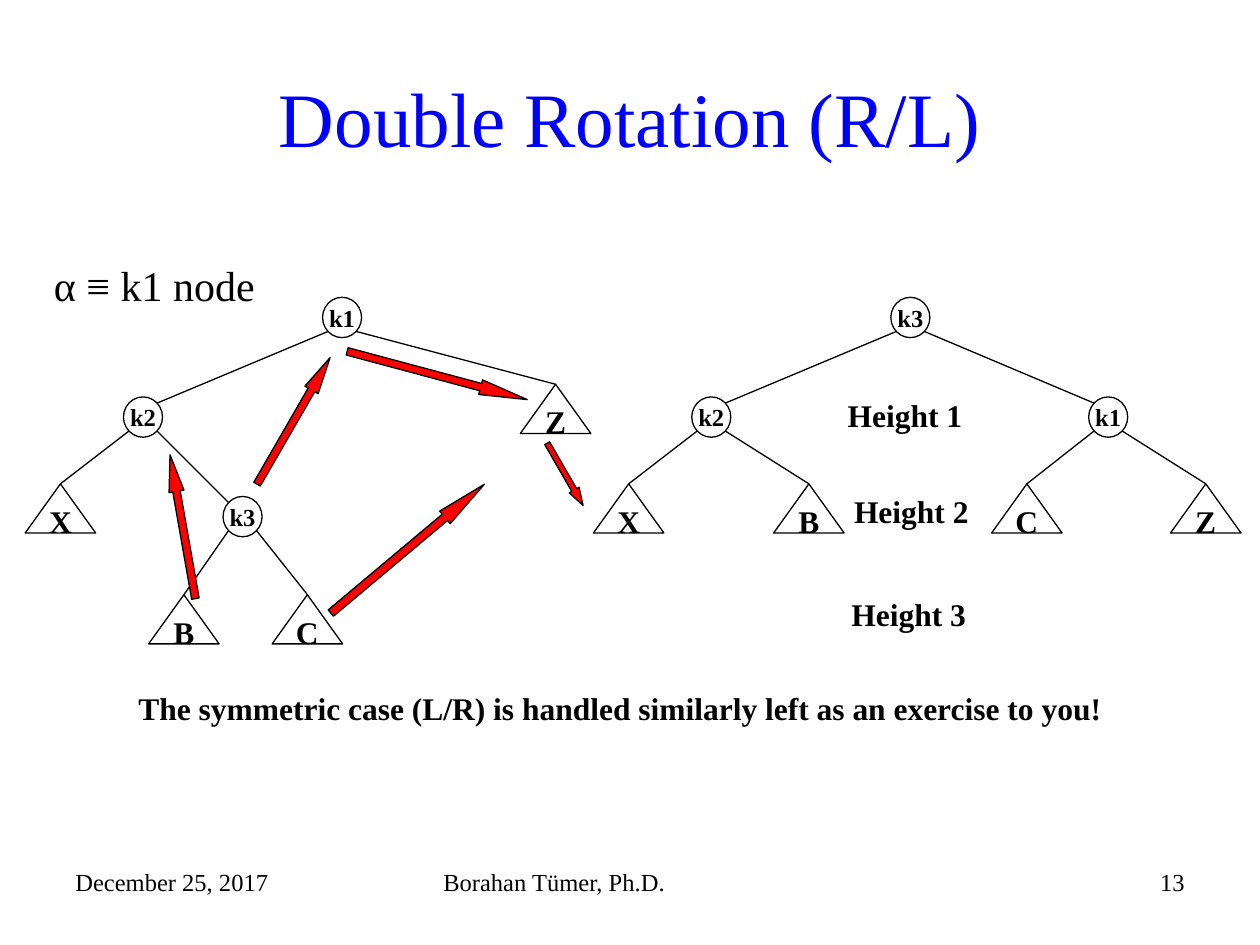
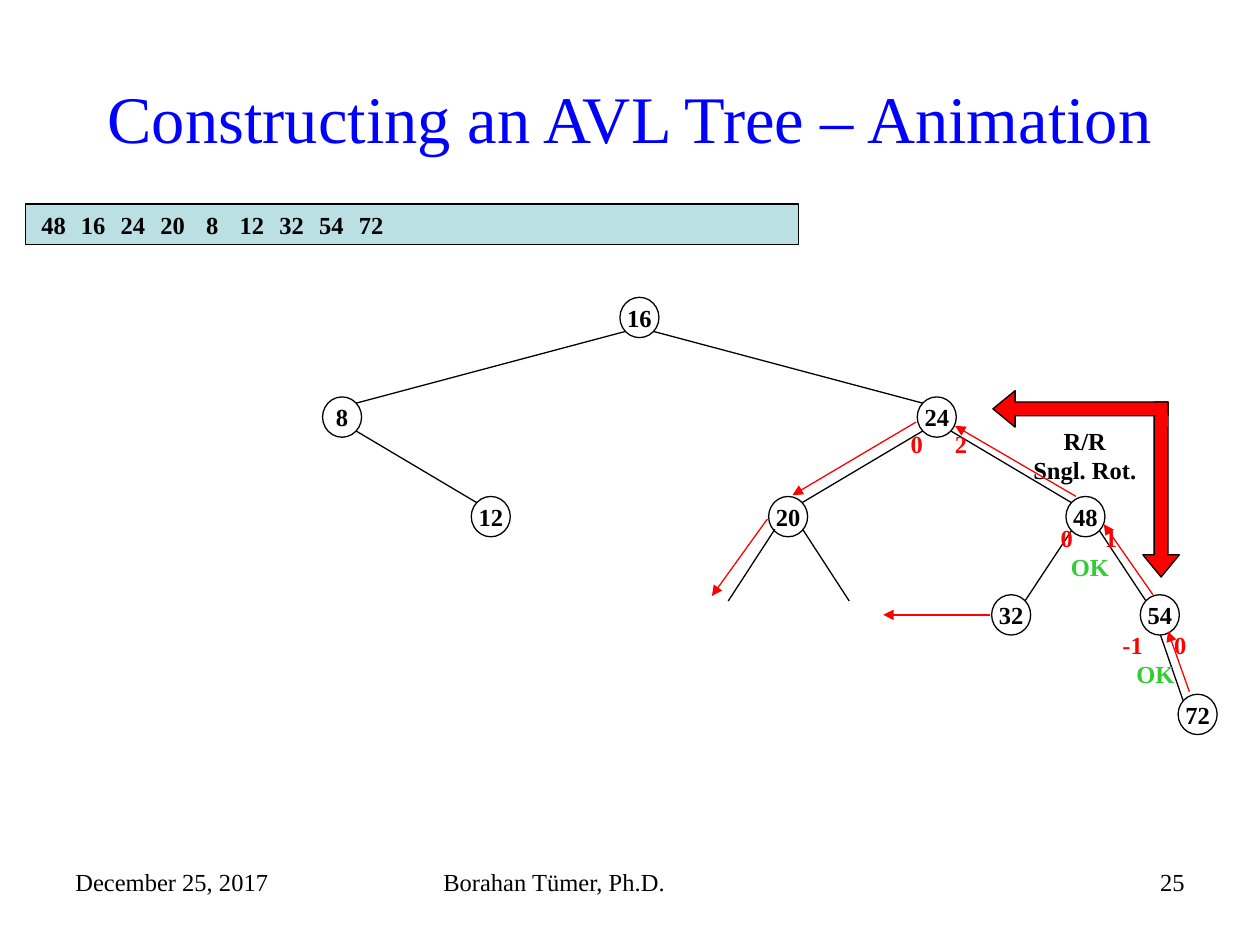
from lxml import etree
from pptx import Presentation
from pptx.dml.color import RGBColor
from pptx.enum.shapes import MSO_CONNECTOR, MSO_SHAPE
from pptx.enum.text import MSO_ANCHOR, PP_ALIGN
from pptx.oxml.ns import qn
from pptx.util import Inches, Pt

ELLIPSE, TRIANGLE, RECTANGLE = MSO_SHAPE.OVAL, MSO_SHAPE.ISOSCELES_TRIANGLE, MSO_SHAPE.RECTANGLE
RIGHT_ARROW, LEFT_ARROW = MSO_SHAPE.RIGHT_ARROW, MSO_SHAPE.LEFT_ARROW
STRAIGHT = MSO_CONNECTOR.STRAIGHT
LEFT, CENTER, RIGHT = PP_ALIGN.LEFT, PP_ALIGN.CENTER, PP_ALIGN.RIGHT
TOP, MIDDLE = MSO_ANCHOR.TOP, MSO_ANCHOR.MIDDLE

THEME = {
    "font": "Times New Roman",
    "black": RGBColor(0x00, 0x00, 0x00),
    "title": RGBColor(0x00, 0x00, 0xFF),
    "red": RGBColor(0xFF, 0x00, 0x00),
    "green": RGBColor(0x33, 0xCC, 0x33),
    "band": RGBColor(0xBB, 0xE0, 0xE3),
    "line": Pt(0.75),
    "title_size": Pt(44),
    "long_title_size": Pt(38),
    "note_size": Pt(24),
    "label_size": Pt(18),
    "small_size": Pt(14),
}
NODE_W, NODE_H = 0.31, 0.32
LEAF_W, LEAF_H = 0.56, 0.39
CORNER = 0.11  # from a node's centre to where its edges start

NODE_FRAME = {"vertical_anchor": MIDDLE, "word_wrap": False, "margin_left": 0,
              "margin_right": 0, "margin_top": 0, "margin_bottom": 0}
LEAF_FRAME = {"vertical_anchor": MIDDLE, "word_wrap": False}
TITLE_FRAME = {"vertical_anchor": MIDDLE, "word_wrap": True}
BOX_FRAME = {"vertical_anchor": TOP, "word_wrap": True}
LABEL_FRAME = {"vertical_anchor": TOP, "word_wrap": False}


def put(shapes, box, lines=(), size="small_size", bold=True, align=CENTER, frame=NODE_FRAME,
        preset=None, fill=None, outline=True, rotation=0, adjust=(), tab=None):
    """Add a preset shape, or a text box without one; lines are (text, colour) pairs."""
    place = [Inches(length) for length in box]
    if preset is None:
        item = shapes.add_textbox(*place)
    else:
        item = shapes.add_shape(preset, *place)
        item.shadow.inherit = False
        item.rotation = rotation
        for index, value in enumerate(adjust):
            item.adjustments[index] = value
        if fill:
            item.fill.solid()
            item.fill.fore_color.rgb = THEME[fill]
        else:
            item.fill.background()
        if outline:
            item.line.color.rgb = THEME["black"]
            item.line.width = THEME["line"]
        else:
            item.line.fill.background()
    text_frame = item.text_frame
    for name, value in frame.items():
        setattr(text_frame, name, value)
    for index, (text, color) in enumerate(lines):
        paragraph = text_frame.add_paragraph() if index else text_frame.paragraphs[0]
        paragraph.alignment = align
        if tab and "\t" in text:
            paragraph.alignment = LEFT
            stops = etree.SubElement(paragraph._p.get_or_add_pPr(), qn("a:tabLst"))
            etree.SubElement(stops, qn("a:tab"), pos=str(Inches(tab)), algn="l")
        run = paragraph.add_run()
        run.text = text
        for name, value in {"name": THEME["font"], "size": THEME[size], "bold": bold}.items():
            setattr(run.font, name, value)
        run.font.color.rgb = THEME[color]


def link(shapes, start, end, color="black", arrow=False):
    connector = shapes.add_connector(STRAIGHT, *[Inches(v) for v in (*start, *end)])
    connector.line.color.rgb = THEME[color]
    connector.line.width = THEME["line"]
    if arrow:
        etree.SubElement(connector.line._get_or_add_ln(), qn("a:tailEnd"), type="triangle")
    etree.SubElement(connector._element.spPr, qn("a:effectLst"))


prs = Presentation()
prs.slide_width, prs.slide_height = Inches(10), Inches(7.5)

# Title and footer of each slide
pages = []
for title, title_size, number in [
    ("Double Rotation (R/L)", "title_size", "13"),
    ("Constructing an AVL Tree – Animation", "long_title_size", "25"),
]:
    shapes = prs.slides.add_slide(prs.slide_layouts[6]).shapes
    put(shapes, (0.5, 0.3, 9, 1.25), [(title, "title")], title_size, False, frame=TITLE_FRAME)
    for left, width, text, align in [
        (0.5, 2.33, "December 25, 2017", LEFT),
        (3.42, 3.17, "Borahan Tümer, Ph.D.", LEFT),
        (7.17, 2.33, number, RIGHT),
    ]:
        put(shapes, (left, 6.83, width, 0.52), [(text, "black")], bold=False,
            align=align, frame=BOX_FRAME)
    pages.append(shapes)
rotation_page, animation_page = pages

# Sequence of inserted keys
put(animation_page, (0.2, 1.62, 6.14, NODE_H), preset=RECTANGLE, fill="band")
for index, key in enumerate(["48", "16", "24", "20", "8", "12", "32", "54", "72"]):
    put(animation_page, (0.27 + 0.315 * index, 1.62, NODE_W, NODE_H), [(key, "black")],
        preset=ELLIPSE, outline=False)

# Trees: nodes and leaves by top left corner, then parent-child edges
before = (
    rotation_page,
    {"k1": (2.56, 2.36), "k2": (0.98, 3.15), "k3": (1.77, 3.94)},
    {"X": (0.2, 3.84), "Z": (4.13, 3.05), "B": (1.18, 4.72), "C": (2.16, 4.72)},
    ["k1 k2", "k1 Z", "k2 X", "k2 k3", "k3 B", "k3 C"],
)
after = (
    rotation_page,
    {"k3": (7.07, 2.36), "k2": (5.49, 3.15), "k1": (8.64, 3.15)},
    {"X": (4.71, 3.84), "B": (6.14, 3.84), "C": (7.87, 3.84), "Z": (9.29, 3.84)},
    ["k3 k2", "k3 k1", "k2 X", "k2 B", "k1 C", "k1 Z"],
)
avl = (
    animation_page,
    {"16": (4.92, 2.36), "8": (2.56, 3.15), "24": (7.28, 3.15), "12": (3.74, 3.94),
     "20": (6.1, 3.94), "48": (8.46, 3.94), "32": (7.87, 4.72), "54": (9.05, 4.72),
     "72": (9.35, 5.51)},
    {},
    ["16 8", "16 24", "8 12", "24 20", "24 48", "48 32", "48 54"],
)
for shapes, nodes, leaves, edges in (before, after, avl):
    for key, (x, y) in nodes.items():
        put(shapes, (x, y, NODE_W, NODE_H), [(key, "black")], preset=ELLIPSE)
    for key, (x, y) in leaves.items():
        put(shapes, (x, y, LEAF_W, LEAF_H), [(key, "black")], "label_size",
            frame=LEAF_FRAME, preset=TRIANGLE)
    centers = {key: (x + NODE_W / 2, y + NODE_H / 2) for key, (x, y) in nodes.items()}
    tips = {key: (x + LEAF_W / 2, y) for key, (x, y) in leaves.items()}
    for edge in edges:
        parent, child = edge.split()
        px, py = centers[parent]
        cx, cy = centers.get(child) or tips[child]
        side = CORNER if cx > px else -CORNER
        end = (cx - side, cy - CORNER) if child in centers else (cx, cy)
        link(shapes, (px + side, py + CORNER), end)

# Moves of the double rotation
for box, angle, head in [
    ((2.73, 2.92, 1.48, 0.12), 15, 3.19),
    ((1.75, 3.28, 1.16, 0.12), 300, 2.46),
    ((0.87, 4.12, 1.16, 0.12), 260, 2.46),
    ((2.44, 4.29, 1.59, 0.13), 320, 3.14),
    ((4.2, 3.72, 0.57, 0.09), 60, 1.56),
]:
    put(rotation_page, box, preset=RIGHT_ARROW, fill="red", rotation=angle, adjust=(0.5, head))

for box, text in [
    ((6.63, 3.09, 1.17, 0.4), "Height 1"),
    ((6.68, 3.86, 1.17, 0.4), "Height 2"),
    ((6.66, 4.67, 1.17, 0.4), "Height 3"),
    ((1, 5.42, 7.85, 0.4),
     "The symmetric case (L/R) is handled similarly left as an exercise to you!"),
]:
    put(rotation_page, box, [(text, "black")], "label_size", align=LEFT, frame=LABEL_FRAME)
put(rotation_page, (0.33, 2.01, 1.94, 0.5), [("α ≡ k1 node", "black")], "note_size", False,
    LEFT, BOX_FRAME)

# Edge to the new key and the empty places under 20
for start, end in [
    ((9.21, 5.04), (9.39, 5.56)),
    ((6.15, 4.2), (5.78, 4.77)),
    ((6.37, 4.2), (6.74, 4.77)),
]:
    link(animation_page, start, end)

# Subtree heights at each node on the way up
OK = ("OK", "green")
for (x, y, width, height), lines in [
    ((8.81, 4.95, 0.72, 0.57), [("-1\t0", "red"), OK]),
    ((8.32, 4.1, 0.66, 0.57), [("0\t1", "red"), OK]),
    ((7.13, 3.36, 0.66, 0.33), [("0\t2", "red")]),
]:
    put(animation_page, (x, y, width, height), lines, frame=BOX_FRAME, tab=width - 0.31)

# Bent double-headed arrow for the single rotation
bent_arrow = animation_page.add_group_shape().shapes
for x, y, angle in [(8.52, 3.74, 270), (7.88, 3.1, 0)]:
    put(bent_arrow, (x, y, 1.39, 0.29), preset=LEFT_ARROW, fill="red", rotation=angle,
        adjust=(0.38, 0.61))
put(bent_arrow, (9.17, 3.29, 0.1, 0.1), preset=RECTANGLE, fill="red", outline=False)
put(animation_page, (8.1, 3.33, 1.02, 0.57), [("R/R", "black"), ("Sngl. Rot.", "black")],
    frame=LABEL_FRAME)

# Search for the heights
for start, end in [
    ((7.86, 4.88), (7.01, 4.88)),
    ((6.09, 4.12), (5.65, 4.73)),
    ((7.27, 3.35), (6.29, 3.93)),
    ((8.54, 3.94), (7.58, 3.38)),
    ((9.15, 4.72), (8.76, 4.16)),
    ((9.44, 5.49), (9.27, 5.01)),
]:
    link(animation_page, start, end, "red", arrow=True)

prs.save("out.pptx")
